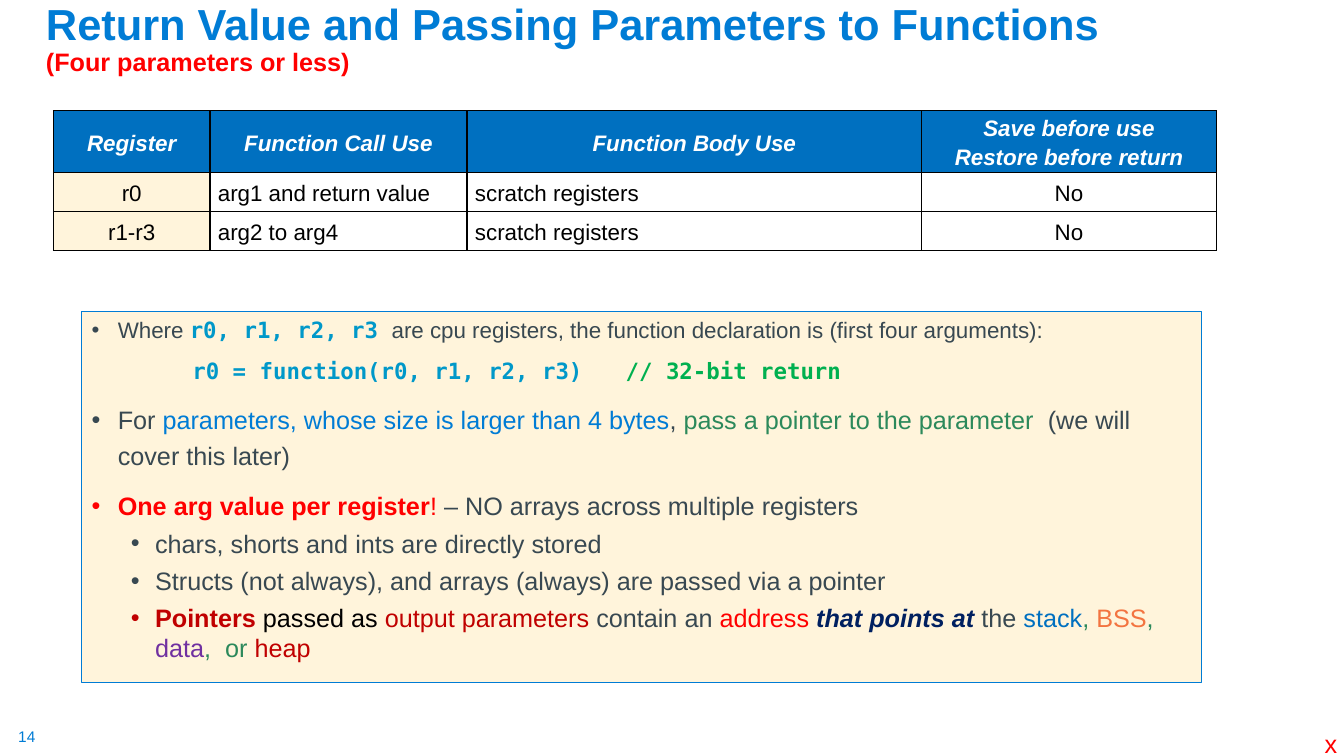
from dataclasses import dataclass

from lxml import etree
from pptx import Presentation
from pptx.dml.color import RGBColor
from pptx.enum.text import MSO_ANCHOR, PP_ALIGN
from pptx.oxml.ns import qn
from pptx.slide import Slide
from pptx.table import _Cell
from pptx.text.text import Font, TextFrame, _Paragraph
from pptx.util import Cm, Pt

LEFT, CENTER = PP_ALIGN.LEFT, PP_ALIGN.CENTER
TOP, MIDDLE, BOTTOM = MSO_ANCHOR.TOP, MSO_ANCHOR.MIDDLE, MSO_ANCHOR.BOTTOM
RECTANGLE = 1

SANS = "Arial"
MONO = "DejaVu Sans Mono"
COLORS = {
    "title": "007CD5", "header": "0070C0", "cream": "FFF4DB", "body": "384851",
    "code": "0098C9", "comment": "00B050", "green": "2C895B", "red": "FF0000",
    "dark red": "C00000", "navy": "002060", "orange": "F37440",
    "purple": "7030A0", "black": "000000", "white": "FFFFFF",
}


@dataclass
class Span:
    text: str
    color: str = "body"
    bold: bool = False
    italic: bool = False
    font: str = SANS


@dataclass
class Line:
    spans: list[Span]
    size: float = 18
    margin: float = 0.66
    indent: float = -0.66
    before: float = 10
    spacing: float | None = None
    tab: float | None = None


@dataclass
class Label:
    text: str
    left: float
    top: float
    width: float
    height: float
    size: float
    color: str
    inset: bool = True


# Contents
TABLE_ROWS = [
    ["Register", "Function Call Use", "Function Body Use",
     "Save before use\nRestore before return"],
    ["r0", "arg1 and return value", "scratch registers", "No"],
    ["r1-r3", "arg2 to arg4", "scratch registers", "No"],
]
COLUMN_WIDTHS = [3.94, 6.48, 11.46, 7.42]
ROW_HEIGHTS = [1.55, 0.97, 0.97]
COLUMN_ALIGNMENTS = [CENTER, LEFT, LEFT, CENTER]

SUB_BULLET = {"margin": 1.6, "indent": -0.61, "before": 5}
BODY_LINES = [
    Line([Span("Where "), Span("r0, r1, r2, r3 ", "code", True, font=MONO),
          Span("are cpu registers, the function declaration is (first four arguments):")],
         size=16, before=0),
    Line([Span("r0 = function(r0, r1, r2, r3)\t", "code", True, font=MONO),
          Span("// 32-bit return", "comment", True, font=MONO)],
         size=16, margin=2.03, indent=0.51, tab=14.73),
    Line([Span("For "), Span("parameters, whose size is larger than 4 bytes", "title"),
          Span(", "), Span("pass a pointer to the parameter  ", "green"),
          Span("(we will cover this later)")], spacing=1.2),
    Line([Span("One arg value per register", "red", True), Span("! ", "red"),
          Span("– NO arrays across multiple registers")], spacing=1.2),
    Line([Span("chars, shorts and ints are directly stored")], **SUB_BULLET),
    Line([Span("Structs (not always), and arrays (always) are passed via a pointer")],
         **SUB_BULLET),
    Line([Span("Pointers ", "dark red", True), Span("passed as ", "black"),
          Span("output parameters ", "dark red"), Span("contain an "),
          Span("address ", "red"), Span("that points at ", "navy", True, True),
          Span("the "), Span("stack", "header"), Span(", ", "green"),
          Span("BSS", "orange"), Span(", ", "green"), Span("data", "purple"),
          Span(",  or ", "green"), Span("heap", "dark red")], **SUB_BULLET),
]
LABELS = [
    Label("14", 0.46, 18.33, 0.48, 0.48, 11, "title", inset=False),
    Label("x", 33.13, 18.24, 0.84, 1.02, 18, "red"),
]


def rgb(name: str) -> RGBColor:
    return RGBColor.from_string(COLORS[name])


def style_font(font: Font, size: float, color: str, bold: bool = False,
               italic: bool = False, name: str = SANS) -> None:
    font.name, font.size = name, Pt(size)
    font.bold, font.italic = bold, italic
    font.color.rgb = rgb(color)


def set_insets(target: TextFrame | _Cell, horizontal: float, vertical: float) -> None:
    target.margin_left = target.margin_right = Cm(horizontal)
    target.margin_top = target.margin_bottom = Cm(vertical)


def add_title(slide: Slide) -> None:
    frame = slide.shapes.add_textbox(Cm(0.91), Cm(0.97), Cm(32.97), Cm(1.09)).text_frame
    frame.word_wrap = True
    frame.vertical_anchor = BOTTOM
    paragraph = frame.paragraphs[0]
    paragraph.line_spacing = 0.9
    heading = paragraph.add_run()
    heading.text = "Return Value and Passing Parameters to Functions"
    style_font(heading.font, 31, "title", bold=True)
    paragraph.add_line_break()
    subtitle = paragraph.add_run()
    subtitle.text = "(Four parameters or less)"
    style_font(subtitle.font, 18, "red", bold=True)


def add_borders(cell: _Cell) -> None:
    properties = cell._tc.get_or_add_tcPr()
    for position, side in enumerate(("a:lnL", "a:lnR", "a:lnT", "a:lnB")):
        border = etree.Element(qn(side), w=str(Pt(1)))
        fill = etree.SubElement(border, qn("a:solidFill"))
        etree.SubElement(fill, qn("a:srgbClr"), val=COLORS["black"])
        properties.insert(position, border)


def fill_cell(cell: _Cell, text: str, row: int, column: int) -> None:
    header = row == 0
    cell.text = text
    cell.vertical_anchor = MIDDLE
    set_insets(cell, *((0, 0) if header else (0.2, 0.1)))
    if header or column == 0:
        cell.fill.solid()
        cell.fill.fore_color.rgb = rgb("header" if header else "cream")
    else:
        cell.fill.background()
    for paragraph in cell.text_frame.paragraphs:
        paragraph.alignment = CENTER if header else COLUMN_ALIGNMENTS[column]
        paragraph.line_spacing = 1.15
        style_font(paragraph.font, 16, "white" if header else "black", header, header)
    add_borders(cell)


def add_register_table(slide: Slide) -> None:
    table = slide.shapes.add_table(
        len(ROW_HEIGHTS), len(COLUMN_WIDTHS), Cm(1.35), Cm(2.79),
        Cm(sum(COLUMN_WIDTHS)), Cm(sum(ROW_HEIGHTS))).table
    for column, width in zip(table.columns, COLUMN_WIDTHS):
        column.width = Cm(width)
    for row, height in zip(table.rows, ROW_HEIGHTS):
        row.height = Cm(height)
    for row_index, texts in enumerate(TABLE_ROWS):
        for column_index, text in enumerate(texts):
            fill_cell(table.cell(row_index, column_index), text, row_index, column_index)


def write_line(paragraph: _Paragraph, line: Line) -> None:
    paragraph.alignment = LEFT
    paragraph.space_before = Pt(line.before)
    if line.spacing:
        paragraph.line_spacing = line.spacing
    properties = paragraph._p.get_or_add_pPr()
    properties.set("marL", str(Cm(line.margin)))
    properties.set("indent", str(Cm(line.indent)))
    if line.indent < 0:
        etree.SubElement(properties, qn("a:buFont"), typeface=SANS)
        etree.SubElement(properties, qn("a:buChar"), char="•")
    if line.tab:
        tabs = etree.SubElement(properties, qn("a:tabLst"))
        etree.SubElement(tabs, qn("a:tab"), pos=str(Cm(line.tab)), algn="l")
    for span in line.spans:
        run = paragraph.add_run()
        run.text = span.text
        style_font(run.font, line.size, span.color, span.bold, span.italic, span.font)


def add_body(slide: Slide) -> None:
    box = slide.shapes.add_shape(RECTANGLE, Cm(2.06), Cm(7.85), Cm(28.22), Cm(9.35))
    box.shadow.inherit = False
    box.fill.solid()
    box.fill.fore_color.rgb = rgb("cream")
    box.line.color.rgb = rgb("title")
    box.line.width = Pt(0.75)
    frame = box.text_frame
    frame.word_wrap = True
    frame.vertical_anchor = TOP
    for index, line in enumerate(BODY_LINES):
        write_line(frame.add_paragraph() if index else frame.paragraphs[0], line)


def add_label(slide: Slide, label: Label) -> None:
    frame = slide.shapes.add_textbox(
        Cm(label.left), Cm(label.top), Cm(label.width), Cm(label.height)).text_frame
    frame.word_wrap = False
    if not label.inset:
        set_insets(frame, 0, 0)
    frame.text = label.text
    style_font(frame.paragraphs[0].font, label.size, label.color)


def main() -> None:
    presentation = Presentation()
    presentation.slide_width, presentation.slide_height = Cm(33.87), Cm(19.05)
    slide = presentation.slides.add_slide(presentation.slide_layouts[6])
    add_body(slide)
    add_title(slide)
    add_register_table(slide)
    for label in LABELS:
        add_label(slide, label)
    presentation.save("out.pptx")


if __name__ == "__main__":
    main()
